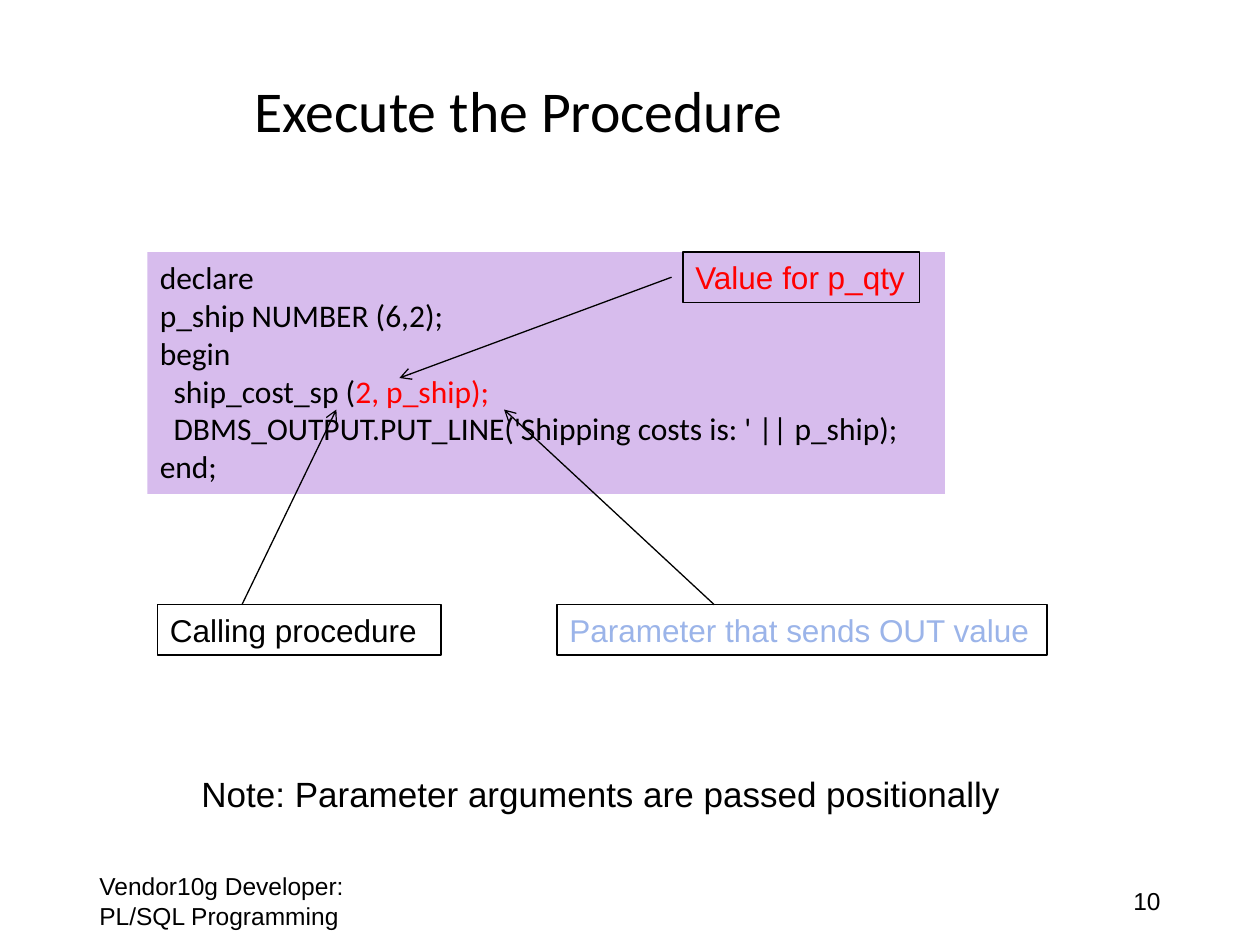
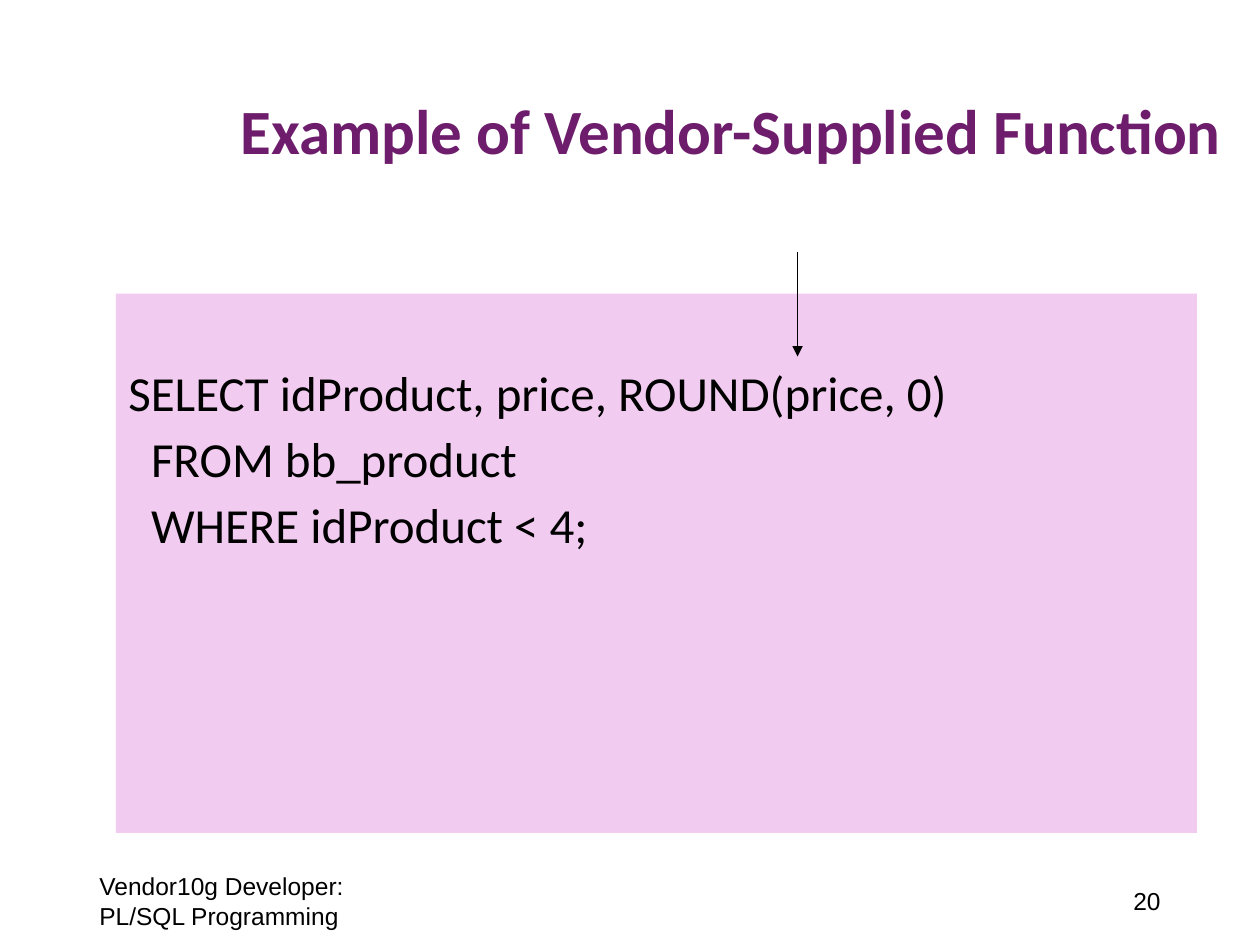
"""Build two slides on calling a stored procedure and a supplied SQL function."""
from lxml import etree
from pptx import Presentation
from pptx.dml.color import RGBColor
from pptx.enum.shapes import MSO_CONNECTOR, MSO_SHAPE
from pptx.enum.text import MSO_ANCHOR, PP_ALIGN
from pptx.oxml.ns import qn
from pptx.util import Inches, Pt

RECTANGLE = MSO_SHAPE.RECTANGLE
STRAIGHT = MSO_CONNECTOR.STRAIGHT
TOP, MIDDLE = MSO_ANCHOR.TOP, MSO_ANCHOR.MIDDLE
LEFT, RIGHT = PP_ALIGN.LEFT, PP_ALIGN.RIGHT

BLACK = RGBColor(0, 0, 0)
RED = RGBColor(0xFF, 0, 0)
BLUE = RGBColor(0x9B, 0xB4, 0xE9)
PURPLE = RGBColor(0x6D, 0x1D, 0x6B)
LILAC = RGBColor(0xD7, 0xBC, 0xED)
PINK = RGBColor(0xF1, 0xCC, 0xF0)
HEADING_FONT, BODY_FONT = "Calibri", "Arial"

FOOTER = "Vendor10g Developer: PL/SQL Programming"
FOOTER_TOP, FOOTER_WIDTH, FOOTER_HEIGHT = 6.95, 2.25, 0.4
FOOTER_LEFT, NUMBER_LEFT = 0.69, 7.06
TITLE_SIZE = (8, 1.45)
LABEL_HEIGHT = 0.4

SLIDES = [
    {
        "number": "10",
        "title": ("Execute the Procedure", (1.92, 0.18), {"size": 33}),
        "code": [
            (0, ["declare"]),
            (0, ["p_ship NUMBER (6,2);"]),
            (0, ["begin"]),
            (1, ["ship_cost_sp (", ("2, p_ship);", RED)]),
            (1, ["DBMS_OUTPUT.PUT_LINE('Shipping costs is: ' || p_ship);"]),
            (0, ["end;"]),
        ],
        "code_box": (1.17, 2, 6.33, 1.92),
        "code_format": {"size": 18, "fill": LILAC, "indent": 0.11},
        "labels": [
            ("Calling procedure", 1.25, 4.8, 2.25, BLACK),
            ("Value for p_qty", 5.42, 2, 1.88, RED),
            ("Parameter that sends OUT value", 4.42, 4.8, 3.89, BLUE),
        ],
        "note": "Note: Parameter arguments are passed positionally",
        "arrows": [
            ((1.92, 4.8), (2.67, 3.25)),
            ((5.33, 2.2), (3.17, 3)),
            ((5.67, 4.8), (4, 3.25)),
        ],
        "arrowhead": "arrow",
    },
    {
        "number": "20",
        "title": ("Example of Vendor-Supplied Function", (1.81, 0.34),
                  {"size": 36, "color": PURPLE, "bold": True}),
        "code": [
            (0, ["SELECT idProduct, price, ROUND(price, 0)"]),
            (1, ["FROM bb_product"]),
            (1, ["WHERE idProduct < 4;"]),
        ],
        "code_box": (0.92, 2.33, 8.58, 4.28),
        "code_format": {"size": 28, "fill": PINK, "indent": 0.18, "inset_top": 0.6,
                        "line_spacing": 0.9, "space_before": 7.5},
        "labels": [],
        "note": None,
        "arrows": [((6.33, 2), (6.33, 2.83))],
        "arrowhead": "triangle",
    },
]


def add_text(slide, lines, box, *, size, font=BODY_FONT, color=BLACK, bold=False,
             fill=None, outline=None, anchor=TOP, align=LEFT, indent=0,
             inset_top=0.05, inset_right=0.1, line_spacing=1.0, space_before=0):
    """Write a string, or (level, runs) lines, into a box with an optional fill and outline."""
    place = [Inches(length) for length in box]
    if fill is None and outline is None:
        shape = slide.shapes.add_textbox(*place)
    else:
        shape = slide.shapes.add_shape(RECTANGLE, *place)
        shape.shadow.inherit = False
        if fill is None:
            shape.fill.background()
        else:
            shape.fill.solid()
            shape.fill.fore_color.rgb = fill
        if outline is None:
            shape.line.fill.background()
        else:
            shape.line.color.rgb = outline
            shape.line.width = Pt(0.75)
    frame = shape.text_frame
    frame.word_wrap = True
    frame.vertical_anchor = anchor
    frame.margin_top = Inches(inset_top)
    frame.margin_right = Inches(inset_right)
    if isinstance(lines, str):
        lines = [(0, [lines])]
    for index, (level, runs) in enumerate(lines):
        paragraph = frame.add_paragraph() if index else frame.paragraphs[0]
        paragraph.alignment = align
        paragraph.line_spacing = line_spacing
        paragraph.space_before = Pt(space_before if index else 0)
        if level:
            properties = paragraph._p.get_or_add_pPr()
            properties.set("marL", str(Inches(level * indent)))
            properties.set("indent", "0")
        for item in runs:
            text, run_color = (item, color) if isinstance(item, str) else item
            run = paragraph.add_run()
            run.text = text
            run.font.name = font
            run.font.size = Pt(size)
            run.font.bold = bold
            run.font.color.rgb = run_color


def add_arrow(slide, start, end, head):
    """Draw a thin black line with an arrowhead at its end."""
    connector = slide.shapes.add_connector(
        STRAIGHT, *[Inches(length) for length in (*start, *end)])
    connector.line.color.rgb = BLACK
    connector.line.width = Pt(0.75)
    properties = connector._element.spPr
    etree.SubElement(properties.find(qn("a:ln")), qn("a:tailEnd"), type=head)
    etree.SubElement(properties, qn("a:effectLst"))


def add_footer(slide, number):
    """Add the course name and the slide number."""
    for text, left, align in ((FOOTER, FOOTER_LEFT, LEFT), (number, NUMBER_LEFT, RIGHT)):
        add_text(slide, text, (left, FOOTER_TOP, FOOTER_WIDTH, FOOTER_HEIGHT),
                 size=14, anchor=MIDDLE, align=align)


def build_slide(presentation, content):
    """Lay out one slide from its content."""
    slide = presentation.slides.add_slide(presentation.slide_layouts[6])
    title, position, title_format = content["title"]
    add_text(slide, title, (*position, *TITLE_SIZE), font=HEADING_FONT,
             anchor=MIDDLE, line_spacing=0.9, **title_format)
    add_footer(slide, content["number"])
    if content["note"]:
        add_text(slide, content["note"], (1.5, 6.08, 6.56, 0.44), size=20, inset_right=0)
    add_text(slide, content["code"], content["code_box"], font=HEADING_FONT,
             **content["code_format"])
    for text, left, top, width, color in content["labels"]:
        add_text(slide, text, (left, top, width, LABEL_HEIGHT), size=18, color=color,
                 outline=BLACK, inset_right=0)
    for start, end in content["arrows"]:
        add_arrow(slide, start, end, content["arrowhead"])


def main():
    """Build and save the presentation."""
    presentation = Presentation()
    presentation.slide_width = Inches(10)
    presentation.slide_height = Inches(7.5)
    for content in SLIDES:
        build_slide(presentation, content)
    presentation.save("out.pptx")


if __name__ == "__main__":
    main()
